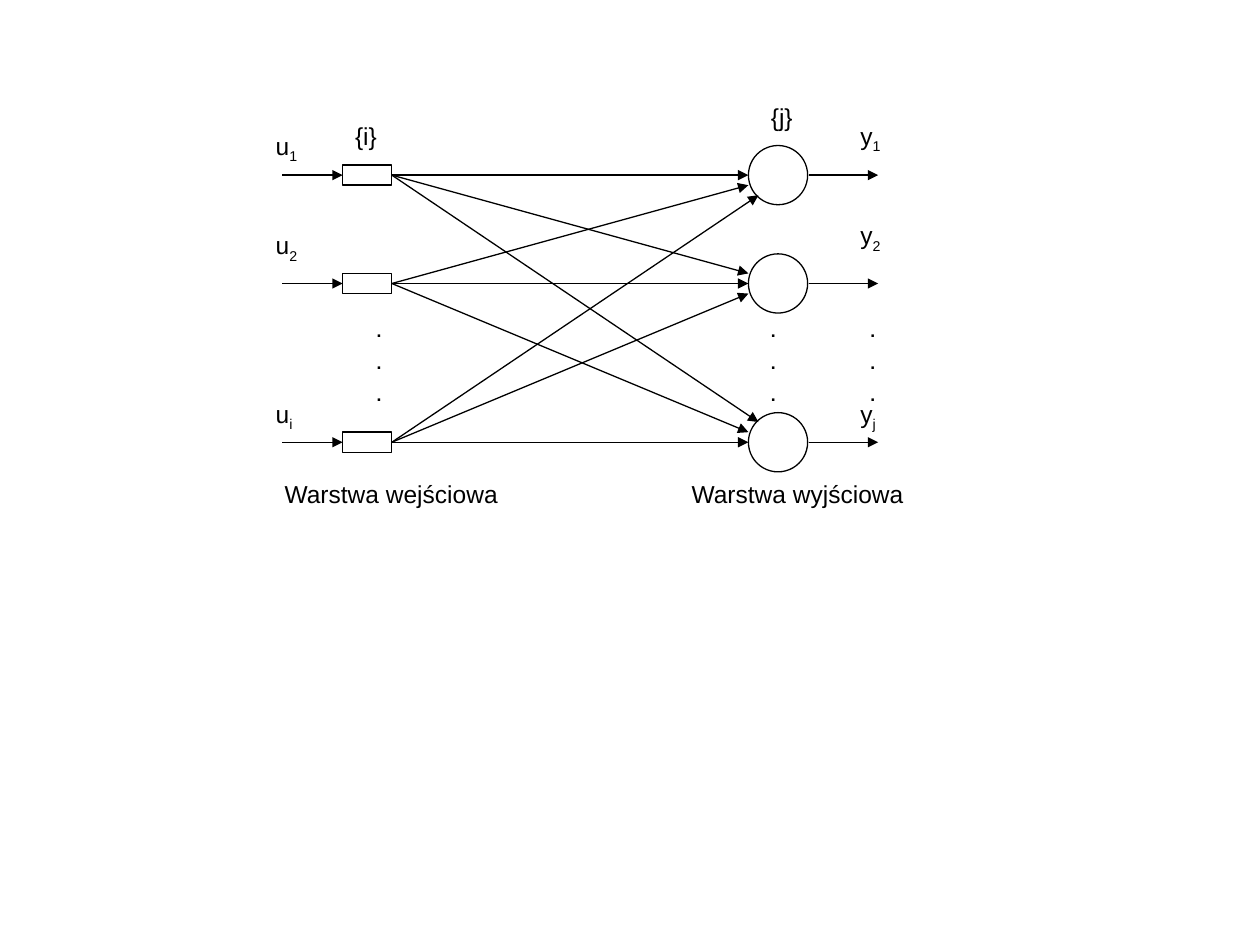
import pptx
import pptx.dml.color
import pptx.enum.shapes
import pptx.enum.text
import pptx.oxml.ns
import pptx.util
from collections import namedtuple
from itertools import product
from lxml import etree
from pptx.util import Inches

Box = namedtuple("Box", "left top width height")
SHAPES = pptx.enum.shapes.MSO_SHAPE
INK = "000000"
LABEL = {"size": pptx.util.Pt(14), "name": "Arial", "bold": False}
DOT = {"size": pptx.util.Pt(10), "name": "Arial", "bold": True}
ROWS = (0.63, 1.49, 2.75)
SUBSCRIPT = "-25000"


def color(value):
    """Turn a hex string into a colour."""
    return pptx.dml.color.RGBColor.from_string(value)


def style_line(line):
    """Give an outline or connector its black thin stroke."""
    line.color.rgb = color(INK)
    line.width = pptx.util.Pt(0.75)


def add_node(page, kind, left, top, width, height):
    """Add one hollow neuron shape."""
    node = page.shapes.add_shape(
        kind, Inches(left), Inches(top), Inches(width), Inches(height))
    node.shadow.inherit = False
    node.fill.background()
    style_line(node.line)


def add_arrow(page, start, end):
    """Add a straight arrow between two points."""
    arrow = page.shapes.add_connector(
        pptx.enum.shapes.MSO_CONNECTOR.STRAIGHT,
        *(Inches(value) for value in (*start, *end)))
    style_line(arrow.line)
    qn = pptx.oxml.ns.qn
    etree.SubElement(arrow.line._get_or_add_ln(), qn("a:tailEnd"), type="triangle")
    etree.SubElement(arrow._element.spPr, qn("a:effectLst"))


def add_span(para, text, font_format):
    """Add a formatted run of text to a paragraph."""
    span = para.add_run()
    span.text = text
    for key, value in font_format.items():
        setattr(span.font, key, value)
    span.font.color.rgb = color(INK)
    return span


def add_text(page, box, lines, font_format=LABEL, gap=0, subscript=""):
    """Add a text box with spaced lines and an optional subscript."""
    frame = page.shapes.add_textbox(*(Inches(value) for value in box)).text_frame
    frame.word_wrap = True
    frame.auto_size = pptx.enum.text.MSO_AUTO_SIZE.SHAPE_TO_FIT_TEXT
    for index, line in enumerate(lines):
        para = frame.add_paragraph() if index else frame.paragraphs[0]
        if index:
            para.space_before = pptx.util.Pt(gap)
        add_span(para, line, font_format)
    if subscript:
        span = add_span(para, subscript, font_format)
        span._r.get_or_add_rPr().set("baseline", SUBSCRIPT)


def add_dots(page, left, top):
    """Add a column of three dots."""
    add_text(page, Box(left, top, 0.3, 0.78), "...", DOT, gap=6.2)


def add_signals(page, left, top, letter, marks, offsets):
    """Add a column of subscripted signal names."""
    for mark, offset in zip(marks, offsets):
        add_text(page, Box(left, top + offset, 0.47, 0.37), [letter], subscript=mark)


def add_input_layer(page, box):
    """Draw the input signals, rectangles and captions."""
    left, top = box.left, box.top
    for row in ROWS:
        y = top + row
        add_node(page, SHAPES.RECTANGLE, left + 0.63, y - 0.08, 0.39, 0.16)
        add_arrow(page, (left + 0.15, y), (left + 0.63, y))
    add_signals(page, left, top, "u", "12i", (0.23, 1.02, 2.36))
    add_text(page, Box(left + 0.63, top + 0.15, 0.47, 0.34), ["{i}"])
    add_dots(page, left + 0.8, top + 1.73)
    add_text(page, Box(left + 0.07, top + 2.99, 2.05, 0.34), ["Warstwa wejściowa"])


def add_output_layer(page, box):
    """Draw the circles, output signals and captions."""
    left, top = box.left, box.top
    for row in ROWS:
        y = top + row
        add_node(page, SHAPES.OVAL, left + 0.55, y - 0.235, 0.47, 0.47)
        add_arrow(page, (left + 1.03, y), (left + 1.58, y))
    add_signals(page, left + 1.34, top, "y", "12j", (0.15, 0.94, 2.36))
    add_text(page, Box(left + 0.63, top, 0.47, 0.34), ["{j}"])
    for dots_left in (0.63, 1.42):
        add_dots(page, left + dots_left, top + 1.73)
    add_text(page, Box(left, top + 2.99, 2.05, 0.34), ["Warstwa wyjściowa"])


def add_links(page, box):
    """Connect every input with every output, fanning out the arrow tips."""
    for source, target in product(range(len(ROWS)), repeat=2):
        step = target - source
        tip_x = box.left + box.width + (0.08 if abs(step) == 2 else 0)
        tip_y = box.top + ROWS[target] - 0.08 * step
        add_arrow(page, (box.left, box.top + ROWS[source]), (tip_x, tip_y))


def main():
    """Build the network diagram and save the deck."""
    deck = pptx.Presentation()
    deck.slide_width, deck.slide_height = Inches(10), Inches(7.5)
    page = deck.slides.add_slide(deck.slide_layouts[6])
    add_links(page, Box(3.11, 0.76, 2.83, 3.33))
    add_input_layer(page, Box(2.09, 0.76, 2.12, 3.33))
    add_output_layer(page, Box(5.39, 0.76, 2.05, 3.33))
    deck.save("out.pptx")


if __name__ == "__main__":
    main()
